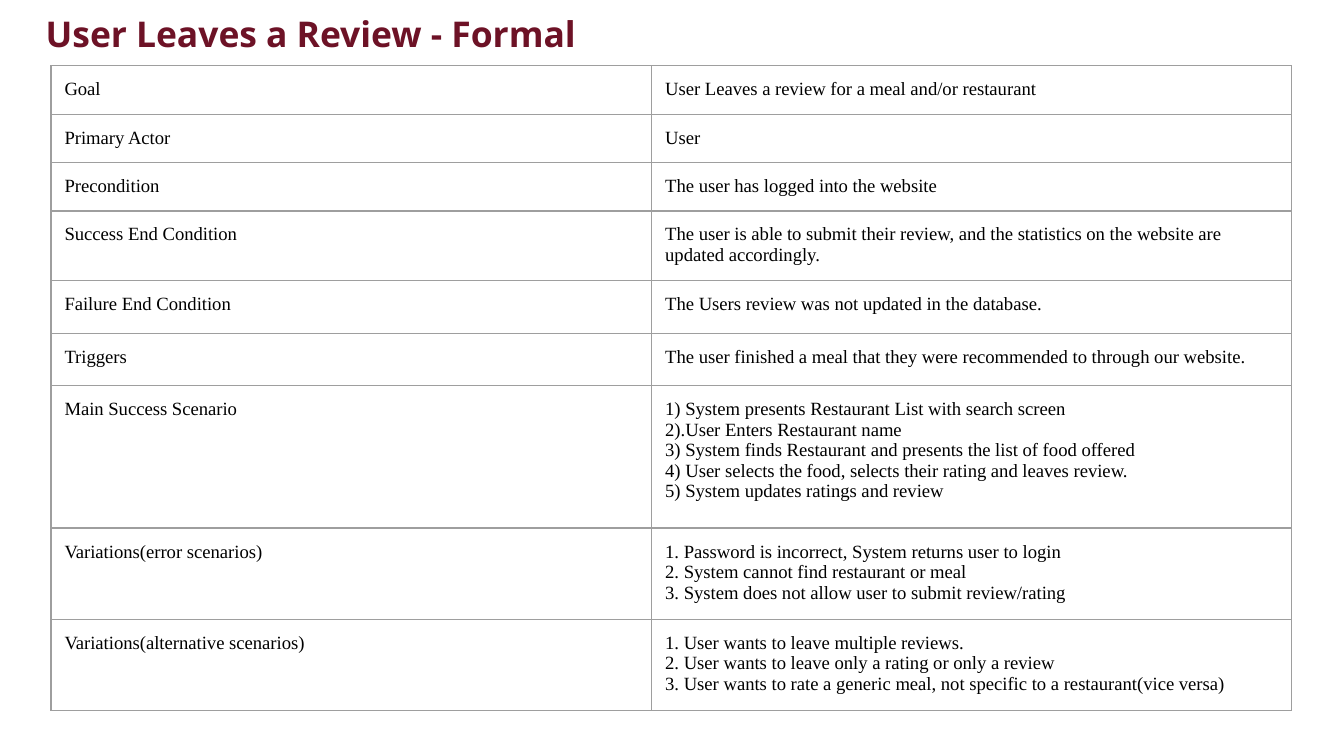
from lxml import etree
from pptx import Presentation
from pptx import util as u
from pptx.dml.color import RGBColor
from pptx.enum import text
from pptx.oxml.ns import qn

COLORS = {"title": "6D1226", "body": "000000", "border": "9E9E9E"}
WIDTH = u.Inches(10)
HEIGHT = WIDTH * 9 // 16
PADDING = u.Inches(0.1)

# Table rows: label, lines of the description, row height in inches
ROWS = [
    ("Goal", ["User Leaves a review for a meal and/or restaurant"], 0.36),
    ("Primary Actor", ["User"], 0.36),
    ("Precondition", ["The user has logged into the website"], 0.36),
    ("Success End Condition", [
        "The user is able to submit their review, and the statistics "
        "on the website are updated accordingly."], 0.52),
    ("Failure End Condition", ["The Users review was not updated in the database."], 0.39),
    ("Triggers", [
        "The user finished a meal that they were recommended to through our website."], 0.39),
    ("Main Success Scenario", [
        "1) System presents Restaurant List with search screen",
        "2).User Enters Restaurant name",
        "3) System finds Restaurant and presents the list of food offered",
        "4) User selects the food, selects their rating and leaves review.",
        "5) System updates ratings and review"], 1.06),
    ("Variations(error scenarios)", [
        "1. Password is incorrect, System returns user to login",
        "2. System cannot find restaurant or meal",
        "3. System does not allow user to submit review/rating"], 0.68),
    ("Variations(alternative scenarios)", [
        "1. User wants to leave multiple reviews.",
        "2. User wants to leave only a rating or only a review",
        "3. User wants to rate a generic meal, not specific to a restaurant(vice versa)"], 0.68),
]


def write(frame, lines, font="Times New Roman", size=10, color="body", bold=False):
    frame.word_wrap = True
    for index, line in enumerate(lines):
        paragraph = frame.paragraphs[0] if index == 0 else frame.add_paragraph()
        run = paragraph.add_run()
        run.text = line
        run.font.name = font
        run.font.size = u.Pt(size)
        run.font.bold = bold
        run.font.color.rgb = RGBColor.from_string(COLORS[color])


def add_borders(cell):
    properties = cell._tc.get_or_add_tcPr()
    for position, side in enumerate(("a:lnL", "a:lnR", "a:lnT", "a:lnB")):
        line = etree.Element(qn(side), w=str(u.Pt(0.75)))
        fill = etree.SubElement(line, qn("a:solidFill"))
        etree.SubElement(fill, qn("a:srgbClr"), val=COLORS["border"])
        properties.insert(position, line)


presentation = Presentation()
presentation.slide_width, presentation.slide_height = WIDTH, HEIGHT
slide = presentation.slides.add_slide(presentation.slide_layouts[6])

# Use case table
columns = [u.Inches(4.47), u.Inches(4.76)]
heights = [u.Inches(height) for _, _, height in ROWS]
table = slide.shapes.add_table(
    len(ROWS), len(columns), u.Inches(0.38), u.Inches(0.49), sum(columns), sum(heights)).table
table.first_row = table.horz_banding = False
for column, width in zip(table.columns, columns):
    column.width = width
for row, height, (label, description, _) in zip(table.rows, heights, ROWS):
    row.height = height
    for cell, lines in zip(row.cells, ([label], description)):
        cell.margin_left = cell.margin_right = PADDING
        cell.margin_top = cell.margin_bottom = PADDING
        cell.fill.background()
        add_borders(cell)
        write(cell.text_frame, lines)

# Title
title = slide.shapes.add_textbox(u.Inches(0.34), 0, u.Inches(9.32), u.Inches(0.41))
frame = title.text_frame
frame.margin_left = frame.margin_right = frame.margin_top = frame.margin_bottom = 0
frame.vertical_anchor = text.MSO_ANCHOR.BOTTOM
write(frame, ["User Leaves a Review - Formal"], font="Open Sans", size=19, color="title", bold=True)

presentation.save("out.pptx")
